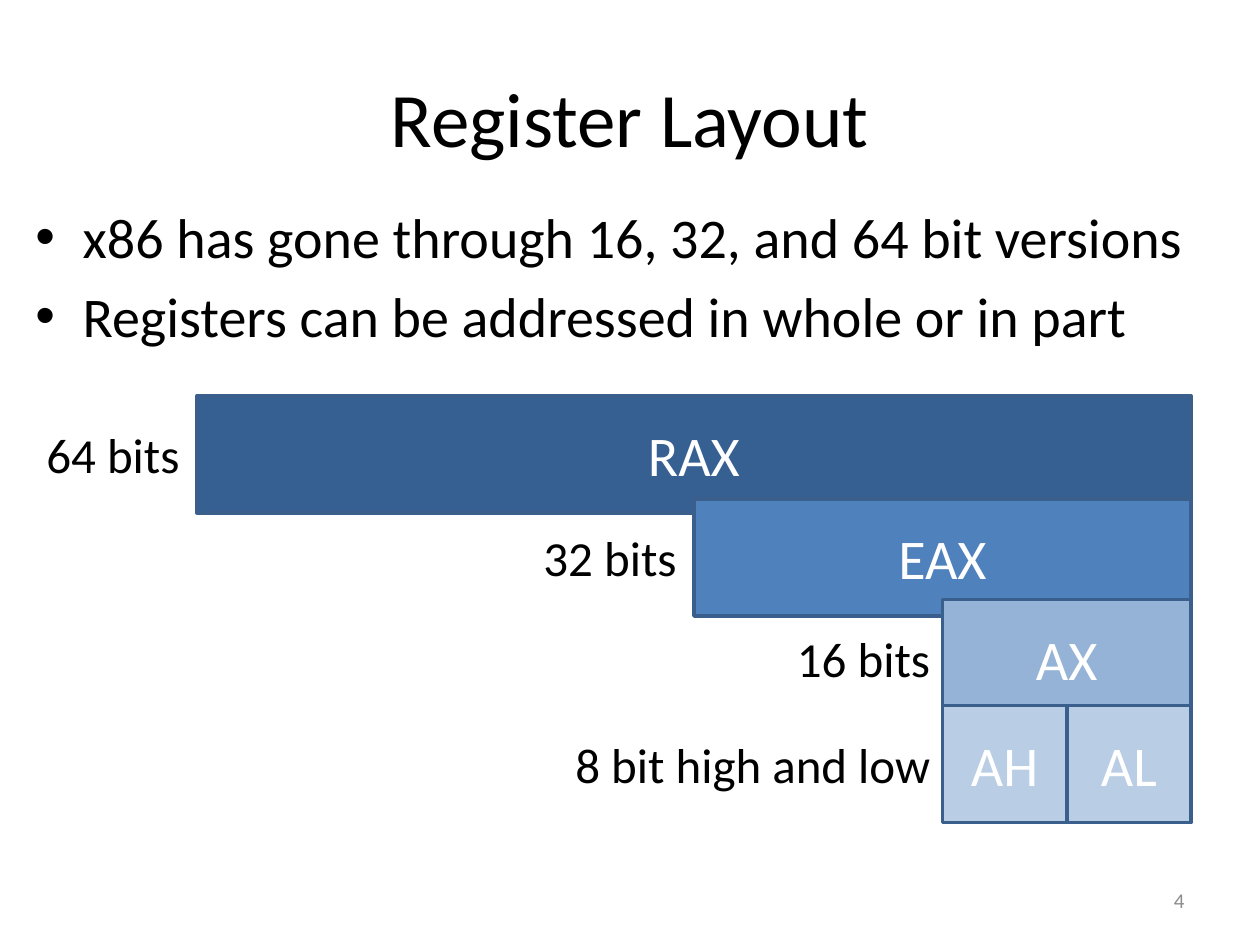
from pptx import Presentation
from pptx.dml.color import RGBColor
from pptx.enum.shapes import MSO_SHAPE as Shape
from pptx.enum.text import MSO_ANCHOR as Anchor, MSO_AUTO_SIZE as AutoSize, PP_ALIGN as Align
from pptx.util import Cm, Pt

FONT = "Calibri"
BLACK = RGBColor(0x00, 0x00, 0x00)
WHITE = RGBColor(0xFF, 0xFF, 0xFF)
GREY = RGBColor(0x8C, 0x8C, 0x8C)
OUTLINE = RGBColor(0x3A, 0x5F, 0x8C)
BLUE_64 = RGBColor(0x37, 0x60, 0x92)
BLUE_32 = RGBColor(0x4F, 0x81, 0xBD)
BLUE_16 = RGBColor(0x95, 0xB3, 0xD7)
BLUE_8 = RGBColor(0xB9, 0xCD, 0xE5)

BAR_HEIGHT = 2.36
LABEL_HEIGHT = 1.45

# Top offset, bits, fill, register names, label, label width, gap to label (cm)
REGISTER_ROWS = [
    (0, 64, BLUE_64, ["RAX"], "64 bits", 3.23, 0.1),
    (2.08, 32, BLUE_32, ["EAX"], "32 bits", 3.23, 0.1),
    (4.11, 16, BLUE_16, ["AX"], "16 bits", 3.23, 0),
    (6.24, 8, BLUE_8, ["AH", "AL"], "8 bit high and low", 8.33, 0),
]


def place(shape, left, top, width, height):
    shape.left, shape.top = Cm(left), Cm(top)
    shape.width, shape.height = Cm(width), Cm(height)


def add_text(paragraph, text, size, color, alignment=None):
    if alignment is not None:
        paragraph.alignment = alignment
    run = paragraph.add_run()
    run.text = text
    run.font.name = FONT
    run.font.size = Pt(size)
    run.font.color.rgb = color


def fill_title(slide, text, box):
    title = slide.shapes.title
    place(title, *box)
    title.text_frame.vertical_anchor = Anchor.MIDDLE
    add_text(title.text_frame.paragraphs[0], text, 44, BLACK, Align.CENTER)


def fill_bullets(slide, lines, box):
    body = slide.placeholders[1]
    place(body, *box)
    frame = body.text_frame
    for index, line in enumerate(lines):
        paragraph = frame.add_paragraph() if index else frame.paragraphs[0]
        add_text(paragraph, line, 32, BLACK)


def add_bar(slide, name, fill, box):
    bar = slide.shapes.add_shape(Shape.RECTANGLE, *map(Cm, box))
    bar.shadow.inherit = False
    bar.fill.solid()
    bar.fill.fore_color.rgb = fill
    bar.line.color.rgb = OUTLINE
    bar.line.width = Pt(2)
    bar.text_frame.vertical_anchor = Anchor.MIDDLE
    add_text(bar.text_frame.paragraphs[0], name, 32, WHITE, Align.CENTER)


def add_label(slide, text, box):
    label = slide.shapes.add_textbox(*map(Cm, box))
    label.text_frame.word_wrap = False
    label.text_frame.auto_size = AutoSize.SHAPE_TO_FIT_TEXT
    add_text(label.text_frame.paragraphs[0], text, 28, BLACK, Align.RIGHT)


def add_register_diagram(slide, left, top, width):
    """Draw right-aligned bars whose widths are proportional to their bits."""
    for offset, bits, fill, names, text, label_width, gap in REGISTER_ROWS:
        bar_width = width * bits / 64
        row_left = left + width - bar_width * len(names)
        row_top = top + offset
        for index, name in enumerate(names):
            bar_left = row_left + index * bar_width
            add_bar(slide, name, fill, (bar_left, row_top, bar_width, BAR_HEIGHT))
        label_top = row_top + (BAR_HEIGHT - LABEL_HEIGHT) / 2
        label_left = row_left - gap - label_width
        add_label(slide, text, (label_left, label_top, label_width, LABEL_HEIGHT))


def add_slide_number(slide, number, box):
    text_box = slide.shapes.add_textbox(*map(Cm, box))
    text_box.text_frame.word_wrap = True
    text_box.text_frame.vertical_anchor = Anchor.MIDDLE
    add_text(text_box.text_frame.paragraphs[0], number, 12, GREY, Align.RIGHT)


def main():
    presentation = Presentation()
    presentation.slide_width, presentation.slide_height = Cm(25.4), Cm(19.05)
    slide = presentation.slides.add_slide(presentation.slide_layouts[1])
    fill_title(slide, "Register Layout", (1.27, 0.76, 22.86, 3.18))
    fill_bullets(slide, [
        "x86 has gone through 16, 32, and 64 bit versions",
        "Registers can be addressed in whole or in part",
    ], (0.46, 3.96, 24.26, 4.5))
    add_slide_number(slide, "4", (18.2, 17.65, 5.93, 1.01))
    add_register_diagram(slide, 3.97, 7.98, 20.04)
    presentation.save("out.pptx")


if __name__ == "__main__":
    main()
